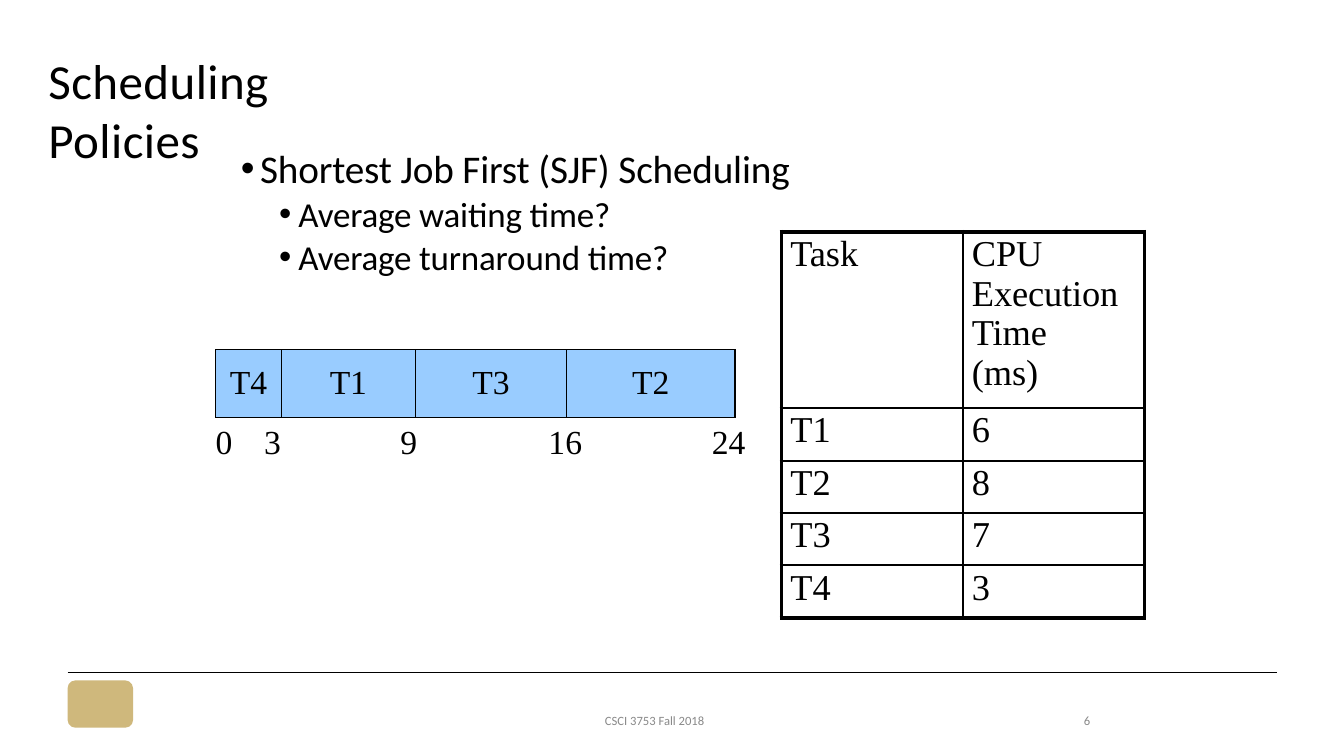
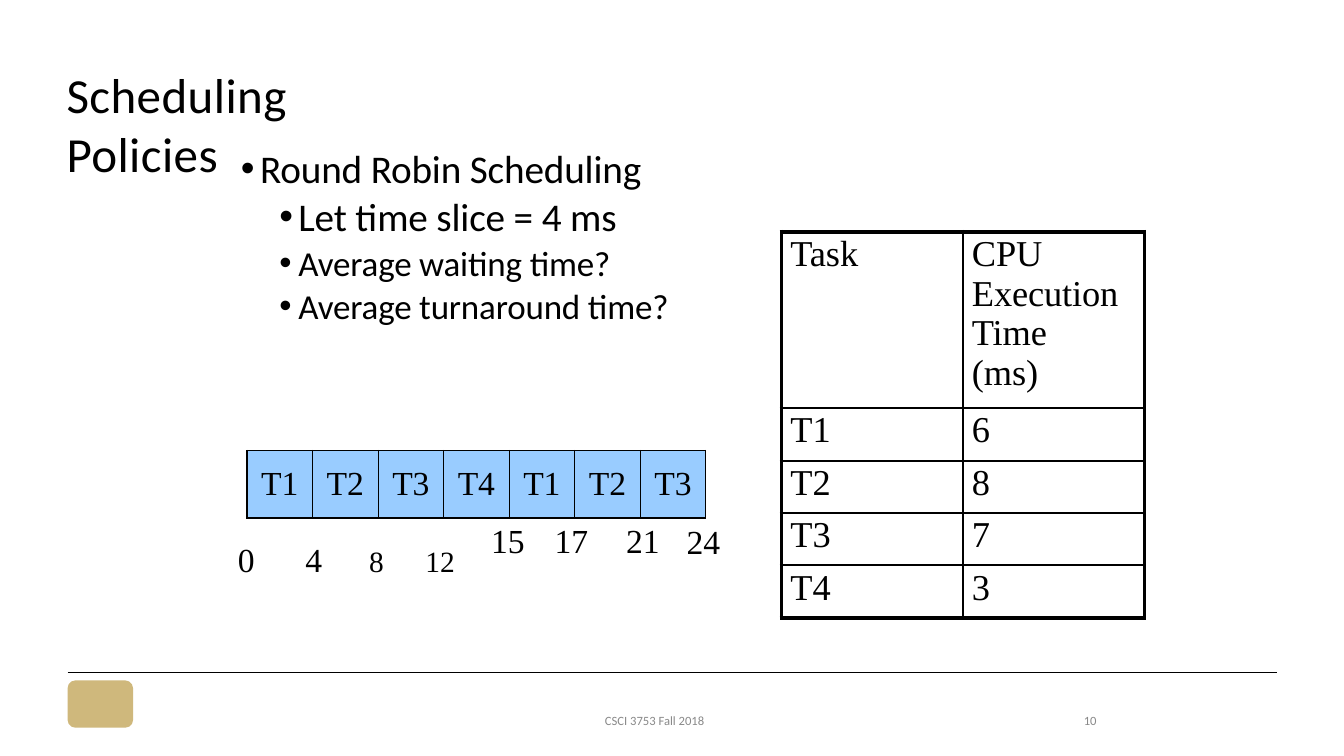
import pptx
import pptx.util
import pptx.dml.color
import pptx.enum.shapes
import pptx.enum.text
import pptx.oxml
import pptx.oxml.ns
from pptx.util import Inches, Pt

COLORS = {"ink": "000000", "muted": "898989", "bar": "99CCFF", "gold": "CFB87C"}
BODY_FONT = "Calibri"
FIGURE_FONT = "Times New Roman"
TASK_ROWS = [("Task", "CPU\nExecution\vTime\v(ms)"),
             ("T1", "6"), ("T2", "8"), ("T3", "7"), ("T4", "3")]
QUESTIONS = [(1, "Average waiting time?", 25), (1, "Average turnaround time?", 25)]


def rgb(name):
    return pptx.dml.color.RGBColor.from_string(COLORS[name])


def add_xml(parent, tag, **attributes):
    element = pptx.oxml.parse_xml(f"<a:{tag} {pptx.oxml.ns.nsdecls('a')}/>")
    for key, value in attributes.items():
        element.set(key, str(value))
    parent.append(element)
    return element


class SlideBuilder:
    """Holds the deck style and the slide being built."""

    def __init__(self):
        self.deck = pptx.Presentation()
        self.deck.slide_width = Inches(13.33)
        self.deck.slide_height = Inches(7.5)
        self.slide = None

    def start(self, number, title_left, title_top):
        self.slide = self.deck.slides.add_slide(self.deck.slide_layouts[5])
        # Title
        title = self.slide.shapes.title
        title.left, title.top = Inches(title_left), Inches(title_top)
        title.width, title.height = Inches(3.7), Inches(0.62)
        title.text_frame.text = "Scheduling Policies"
        self.frame(title.text_frame, 0.02)
        para = title.text_frame.paragraphs[0]
        para.alignment = pptx.enum.text.PP_ALIGN.LEFT
        para.space_before = Pt(1.3)
        self.font(para.runs[0], 35, BODY_FONT, spacing=0.3)
        # Footer
        self.rule(0.67, 6.67, 12)
        self.emblem(0.67, 6.75, 0.65, 0.47)
        self.text("CSCI 3753 Fall 2018", 6, 7.06, 1.34, 9, BODY_FONT, "muted")
        self.text(number, 10.75, 7.06, 0.21, 9, BODY_FONT, "muted")

    def frame(self, text_frame, top_margin=0.01):
        text_frame.margin_left = text_frame.margin_right = text_frame.margin_bottom = 0
        text_frame.margin_top = Inches(top_margin)
        text_frame.word_wrap = True
        text_frame.vertical_anchor = pptx.enum.text.MSO_ANCHOR.TOP
        text_frame.auto_size = pptx.enum.text.MSO_AUTO_SIZE.SHAPE_TO_FIT_TEXT

    def font(self, run, size, name, color="ink", spacing=0.0):
        run.font.size = Pt(size)
        run.font.name = name
        run.font.color.rgb = rgb(color)
        if spacing:
            run.font._element.set("spc", str(round(spacing * 100)))

    def box(self, left, top, width, height):
        box = self.slide.shapes.add_textbox(*map(Inches, (left, top, width, height)))
        self.frame(box.text_frame)
        return box.text_frame

    def rule(self, left, top, width):
        line = self.slide.shapes.add_connector(
            pptx.enum.shapes.MSO_CONNECTOR.STRAIGHT,
            Inches(left), Inches(top), Inches(left + width), Inches(top))
        line.line.color.rgb = rgb("ink")
        line.line.width = Pt(0.5)
        add_xml(line._element.spPr, "effectLst")

    def emblem(self, left, top, width, height):
        shape = self.slide.shapes.add_shape(
            pptx.enum.shapes.MSO_SHAPE.ROUNDED_RECTANGLE,
            *map(Inches, (left, top, width, height)))
        shape.shadow.inherit = False
        shape.fill.solid()
        shape.fill.fore_color.rgb = rgb("gold")
        shape.line.fill.background()

    def text(self, words, left, top, width, size, font, color="ink", tabs=()):
        text_frame = self.box(left, top, width, size / 56)
        text_frame.text = words
        para = text_frame.paragraphs[0]
        para.space_before = Pt(1)
        self.font(para.runs[0], size, font, color)
        if tabs:
            stops = add_xml(para._p.get_or_add_pPr(), "tabLst")
            for stop in tabs:
                add_xml(stops, "tab", pos=Inches(stop), algn="l")
        return para

    def axis(self, words, left, top, width, tabs=()):
        return self.text(words, left, top, width, 24, FIGURE_FONT, tabs=tabs)

    def bullets(self, items, width, height):
        text_frame = self.box(2.38, 1.42, width, height)
        text_frame.text = "\n".join(words for _, words, _ in items)
        for para, (level, _, size) in zip(text_frame.paragraphs, items):
            para.level = level
            para.space_before = Pt(1)
            self.font(para.runs[0], size, BODY_FONT, spacing=-0.1)
            properties = para._p.get_or_add_pPr()
            properties.set("marL", str(Inches(0.2 + 0.38 * level)))
            properties.set("indent", str(Inches(-0.19)))
            add_xml(properties, "buFont", typeface="Arial")
            add_xml(properties, "buChar", char="\u2022")

    def grid(self, rows, left, top, widths, heights):
        table = self.slide.shapes.add_table(
            len(rows), len(widths), Inches(left), Inches(top),
            Inches(sum(widths)), Inches(sum(heights))).table
        table.first_row = table.horz_banding = False
        for column, width in zip(table.columns, widths):
            column.width = Inches(width)
        for row, height, values in zip(table.rows, heights, rows):
            row.height = Inches(height)
            for cell, words in zip(row.cells, values):
                cell.text_frame.text = words
                cell.margin_left = cell.margin_right = 0
                cell.margin_top = cell.margin_bottom = 0
        return table

    def cell_font(self, cell, size):
        for para in cell.text_frame.paragraphs:
            for run in para.runs:
                self.font(run, size, FIGURE_FONT, spacing=-0.1)

    def borders(self, cell, left, right, top, bottom):
        properties = cell._tc.get_or_add_tcPr()
        sides = zip("LRTB", (left, right, top, bottom))
        for index, (side, width) in enumerate(sides):
            line = add_xml(properties, f"ln{side}", w=Pt(width))
            add_xml(add_xml(line, "solidFill"), "srgbClr", val=COLORS["ink"])
            properties.insert(index, line)

    def task_table(self):
        table = self.grid(TASK_ROWS, 7.75, 2.3, [1.8] * 2, [1.75] + [0.52] * 4)
        last = len(TASK_ROWS) - 1
        for r, row in enumerate(table.rows):
            for c, cell in enumerate(row.cells):
                cell.margin_left = Inches(0.09)
                cell.margin_top = Inches(0.03)
                cell.fill.background()
                self.cell_font(cell, 26)
                for para in cell.text_frame.paragraphs:
                    para.line_spacing = 0.98
                outer = (c == 0, c == 1, r == 0, r == last)
                self.borders(cell, *(3 if edge else 1.5 for edge in outer))

    def timeline(self, tasks, left, top, widths):
        table = self.grid([tasks], left, top, widths, [0.67])
        for cell in table.rows[0].cells:
            cell.vertical_anchor = pptx.enum.text.MSO_ANCHOR.MIDDLE
            cell.text_frame.paragraphs[0].alignment = pptx.enum.text.PP_ALIGN.CENTER
            cell.fill.solid()
            cell.fill.fore_color.rgb = rgb("bar")
            self.cell_font(cell, 24)
            self.borders(cell, 1, 1, 1, 1)


builder = SlideBuilder()

# Shortest job first
builder.start("6", 0.48, 0.48)
builder.bullets([(0, "Shortest Job First (SJF) Scheduling", 28)] + QUESTIONS, 5.53, 1.36)
builder.timeline(["T4", "T1", "T3", "T2"], 2.14, 3.47, [0.65, 1.33, 1.5, 1.67])
builder.axis("0\t3", 2.14, 4.17, 0.66, tabs=[0.48])
for time, left, width in [("9", 3.97, 0.19), ("16", 5.44, 0.36), ("24", 7.06, 0.36)]:
    builder.axis(time, left, 4.17, width)
builder.task_table()

# Round robin
builder.start("10", 0.66, 0.62)
builder.bullets([(0, "Round Robin Scheduling", 28),
                 (1, "Let time slice = 4 ms", 28)] + QUESTIONS, 4.99, 1.83)
builder.task_table()
builder.timeline(["T1", "T2", "T3", "T4", "T1", "T2", "T3"], 2.45, 4.47, [0.65] * 7)
early_times = builder.axis("0\t4\t", 2.36, 5.34, 2.21, tabs=[0.67, 1.3, 1.86])
later_times = early_times.add_run()
later_times.text = "8\t12"
builder.font(later_times, 21, FIGURE_FONT)
builder.axis("15\t17\t21", 4.87, 5.15, 1.69, tabs=[0.63, 1.34])
builder.axis("24", 6.81, 5.16, 0.36)

builder.deck.save("out.pptx")
